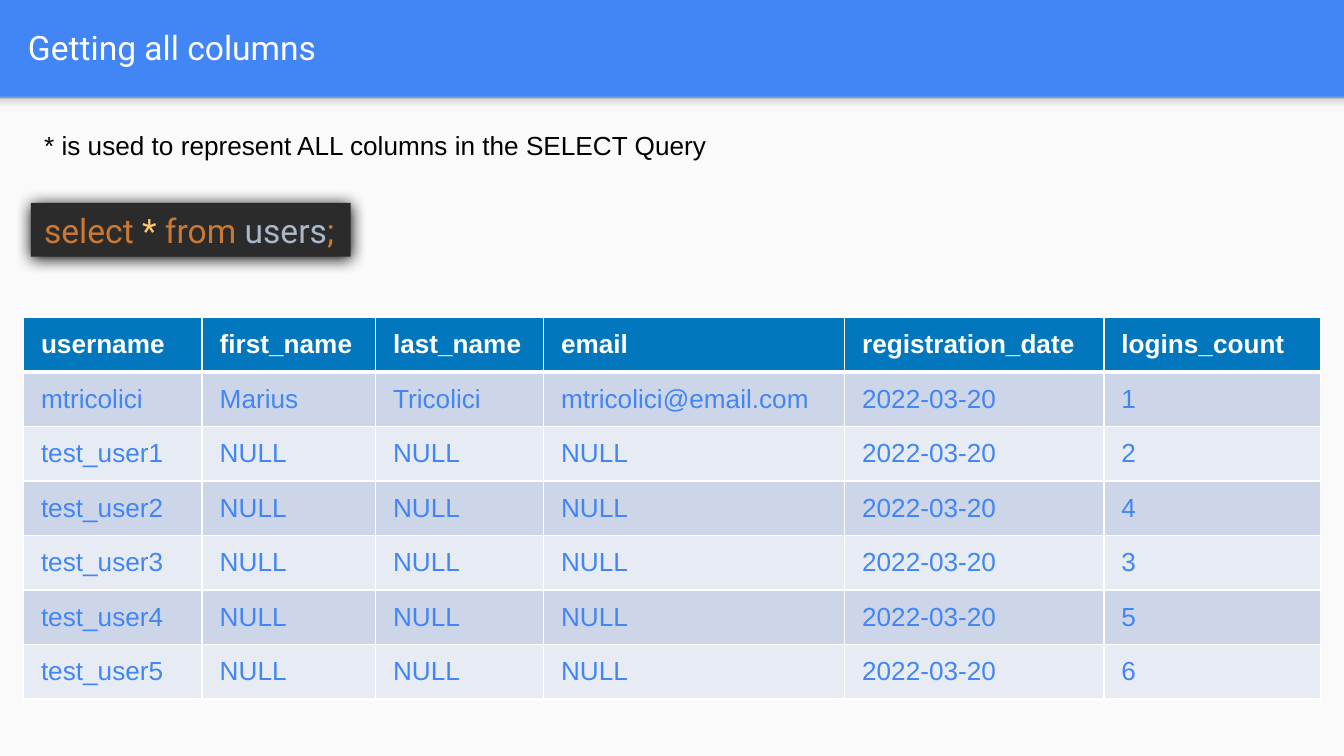
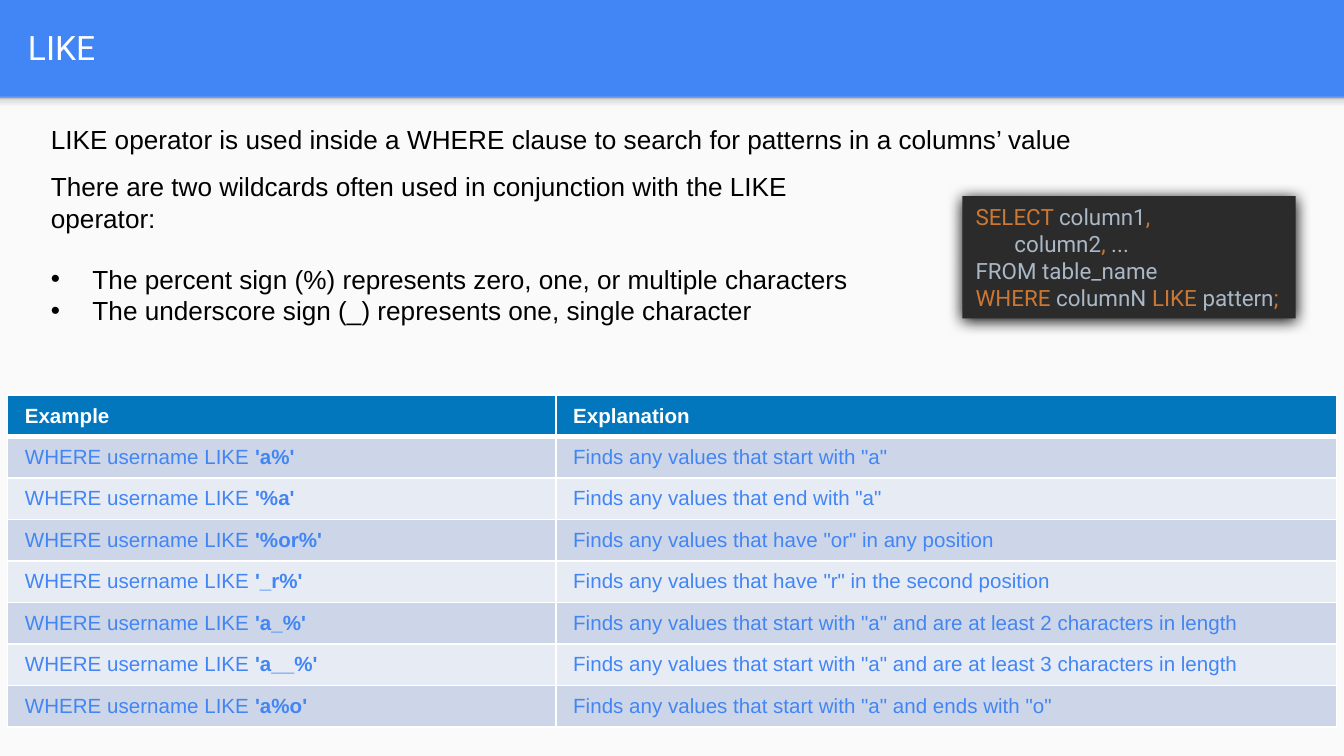
from dataclasses import dataclass
from typing import NamedTuple

from lxml import etree
from pptx import Presentation
from pptx import util as u
from pptx.dml.color import RGBColor
from pptx.enum import shapes, text
from pptx.oxml.ns import qn

WIDTH, HEIGHT = u.Inches(10), u.Inches(5.625)
COLORS = {
    "blue": "4285F4", "page": "FAFAFA", "white": "FFFFFF", "black": "000000",
    "code": "2B2B2B", "keyword": "CC7832", "star": "FFC66D", "name": "A9B7C6",
    "header": "0277BD", "odd": "CCD6E8", "even": "E7ECF4",
}
SHADE_STOPS = [(0, "F9F9F9"), (36, "F9F9F9"), (80, "DEDEDE"), (100, "999999")]


class Area(NamedTuple):
    left: float
    top: float
    width: float
    height: float

    def box(self) -> tuple[int, int, int, int]:
        return (share(self.left, WIDTH), share(self.top, HEIGHT),
                share(self.width, WIDTH), share(self.height, HEIGHT))


class Run(NamedTuple):
    words: str
    color: str = "black"
    bold: bool = False


class Style(NamedTuple):
    font: str
    size: float


@dataclass
class Line:
    runs: list[Run]
    bullet: bool = False
    space_before: float = 0


@dataclass
class Grid:
    area: Area
    size: float
    columns: list[float]
    header: list[str]
    rows: list[list[list[Run]]]


TITLE = Style("Roboto", 18)
BODY = Style("Arial", 14)
PAGE_AREA = Area(0, 12.8, 100, 87.2)
SHADE_AREA = Area(0, 12.8, 100, 2.13)
TITLE_AREA = Area(1.1, 0.36, 96.5, 11.73)


def share(percent: float, whole: int) -> int:
    return round(whole * percent / 100)


def rgb(name: str) -> RGBColor:
    return RGBColor.from_string(COLORS[name])


def add_element(parent, tag: str, **attributes):
    return etree.SubElement(parent, qn(tag), attributes)


def write_line(paragraph, line: Line, style: Style) -> None:
    paragraph.alignment = text.PP_ALIGN.LEFT
    if line.space_before:
        paragraph.space_before = u.Pt(line.space_before)
    if line.bullet:
        properties = paragraph._p.get_or_add_pPr()
        indent = u.Inches(0.31)
        properties.set("marL", str(indent))
        properties.set("indent", str(-indent))
        color = add_element(properties, "a:buClr")
        add_element(color, "a:srgbClr", val=COLORS["black"])
        add_element(properties, "a:buFont", typeface="Arial")
        add_element(properties, "a:buChar", char="•")
    for part in line.runs:
        for index, words in enumerate(part.words.split("\n")):
            if index:
                paragraph.add_line_break()
            if words:
                run = paragraph.add_run()
                run.text = words
                run.font.name = style.font
                run.font.size = u.Pt(style.size)
                run.font.bold = part.bold
                run.font.color.rgb = rgb(part.color)


def write_lines(frame, lines: list[Line], style: Style) -> None:
    for index, line in enumerate(lines):
        paragraph = frame.add_paragraph() if index else frame.paragraphs[0]
        write_line(paragraph, line, style)


def add_text(slide, area: Area, lines: list[Line], style: Style = BODY):
    shape = slide.shapes.add_textbox(*area.box())
    shape.text_frame.word_wrap = True
    write_lines(shape.text_frame, lines, style)
    return shape


def add_rectangle(slide, area: Area, color: str):
    shape = slide.shapes.add_shape(shapes.MSO_SHAPE.RECTANGLE, *area.box())
    shape.shadow.inherit = False
    shape.line.fill.background()
    shape.fill.solid()
    shape.fill.fore_color.rgb = rgb(color)
    return shape


def add_code(slide, area: Area, runs: list[Run], size: float) -> None:
    shape = add_rectangle(slide, area, "code")
    effects = shape._element.spPr.find(qn("a:effectLst"))
    shadow = add_element(effects, "a:outerShdw", blurRad=str(u.Pt(8.5)),
                         dist=str(u.Pt(1)), dir="5400000", algn="t", rotWithShape="0")
    add_element(shadow, "a:srgbClr", val=COLORS["black"])
    frame = shape.text_frame
    frame.word_wrap = False
    frame.auto_size = text.MSO_AUTO_SIZE.SHAPE_TO_FIT_TEXT
    frame.vertical_anchor = text.MSO_ANCHOR.MIDDLE
    write_lines(frame, [Line(runs)], Style("Roboto", size))


def add_borders(cell, top: float, bottom: float) -> None:
    properties = cell._tc.get_or_add_tcPr()
    for side, width in (("L", 1), ("R", 1), ("T", top), ("B", bottom)):
        border = add_element(properties, f"a:ln{side}", w=str(u.Pt(width)))
        fill = add_element(border, "a:solidFill")
        add_element(fill, "a:srgbClr", val=COLORS["white"])


def add_grid(slide, grid: Grid) -> None:
    rows = [[[Run(words, "white", True)] for words in grid.header], *grid.rows]
    left, top, width, height = grid.area.box()
    table = slide.shapes.add_table(len(rows), len(grid.columns), left, top, width, height).table
    for column, part in zip(table.columns, grid.columns):
        column.width = round(width * part / sum(grid.columns))
    for row_index, row in enumerate(rows):
        table.rows[row_index].height = height // len(rows)
        color = "header" if row_index == 0 else "odd" if row_index % 2 else "even"
        for column_index, runs in enumerate(row):
            cell = table.cell(row_index, column_index)
            add_borders(cell, 3 if row_index == 1 else 1, 3 if row_index == 0 else 1)
            cell.fill.solid()
            cell.fill.fore_color.rgb = rgb(color)
            cell.vertical_anchor = text.MSO_ANCHOR.MIDDLE
            cell.margin_left = cell.margin_right = u.Inches(0.13)
            cell.margin_top = cell.margin_bottom = u.Inches(0.06)
            write_lines(cell.text_frame, [Line(runs)], Style("Arial", grid.size))


def add_slide(presentation, title: str):
    slide = presentation.slides.add_slide(presentation.slide_layouts[6])
    slide.background.fill.solid()
    slide.background.fill.fore_color.rgb = rgb("blue")
    add_rectangle(slide, PAGE_AREA, "page")
    shade = add_rectangle(slide, SHADE_AREA, "page")
    shade.fill.gradient()
    shade.fill.gradient_angle = 90
    stops = shade._element.spPr.find(".//" + qn("a:gsLst"))
    stops.clear()
    for position, color in SHADE_STOPS:
        stop = add_element(stops, "a:gs", pos=str(position * 1000))
        add_element(stop, "a:srgbClr", val=color)
    frame = add_text(slide, TITLE_AREA, [Line([Run(title, "white")])], TITLE).text_frame
    frame.vertical_anchor = text.MSO_ANCHOR.MIDDLE
    frame.margin_top = frame.margin_bottom = u.Inches(0.1)
    return slide


def build_columns_slide(presentation) -> None:
    slide = add_slide(presentation, "Getting all columns")
    add_code(slide, Area(2.3, 26.84, 23.8, 7.11), [
        Run("select ", "keyword"), Run("* ", "star"), Run("from ", "keyword"),
        Run("users", "name"), Run(";", "keyword")], 18)
    add_text(slide, Area(2.3, 16.18, 86.5, 6.04),
             [Line([Run("* is used to represent ALL columns in the SELECT Query")])])
    users = [("mtricolici", "Marius", "Tricolici", "mtricolici@email.com", "1")]
    users += [(f"test_user{number}", "NULL", "NULL", "NULL", logins)
              for number, logins in enumerate("24356", start=1)]
    rows = [[[Run(value, "blue")] for value in (*user, "2022-03-20", logins)]
            for *user, logins in users]
    add_grid(slide, Grid(
        Area(1.75, 42.0, 96.5, 50.49), 14, [1.33, 1.29, 1.25, 2.24, 1.93, 1.61],
        ["username", "first_name", "last_name", "email", "registration_date", "logins_count"],
        rows))


def build_like_slide(presentation) -> None:
    slide = add_slide(presentation, "LIKE")
    add_text(slide, Area(2.8, 15.47, 90.4, 6.04), [Line([Run(
        "LIKE operator is used inside a WHERE clause to search for patterns "
        "in a columns’ value")])])
    add_code(slide, Area(71.6, 25.96, 24.8, 16.18), [
        Run("SELECT ", "keyword"), Run("column1", "name"), Run(",\n       ", "keyword"),
        Run("column2", "name"), Run(", ", "keyword"), Run("...\nFROM table_name\n", "name"),
        Run("WHERE ", "keyword"), Run("columnN ", "name"), Run("LIKE ", "keyword"),
        Run("pattern", "name"), Run(";", "keyword")], 12)
    add_text(slide, Area(2.8, 21.69, 64.1, 22.76), [
        Line([Run("There are two wildcards often used in conjunction with the LIKE operator:")]),
        Line([Run("The percent sign (%) represents zero, one, or multiple characters")], True, 16),
        Line([Run("The underscore sign (_) represents one, single character")], True)])
    examples = [
        ("a%", 'start with "a"'),
        ("%a", 'end with "a"'),
        ("%or%", 'have "or" in any position'),
        ("_r%", 'have "r" in the second position'),
        ("a_%", 'start with "a" and are at least 2 characters in length'),
        ("a__%", 'start with "a" and are at least 3 characters in length'),
        ("a%o", 'start with "a" and ends with "o"'),
    ]
    rows = [[[Run("WHERE username LIKE ", "blue"), Run(f"'{pattern}'", "blue", True)],
             [Run(f"Finds any values that {meaning}", "blue")]]
            for pattern, meaning in examples]
    add_grid(slide, Grid(Area(0.55, 52.27, 98.9, 43.91), 11, [4.08, 5.81],
                         ["Example", "Explanation"], rows))


def main() -> None:
    presentation = Presentation()
    presentation.slide_width, presentation.slide_height = WIDTH, HEIGHT
    build_columns_slide(presentation)
    build_like_slide(presentation)
    presentation.save("out.pptx")


if __name__ == "__main__":
    main()
